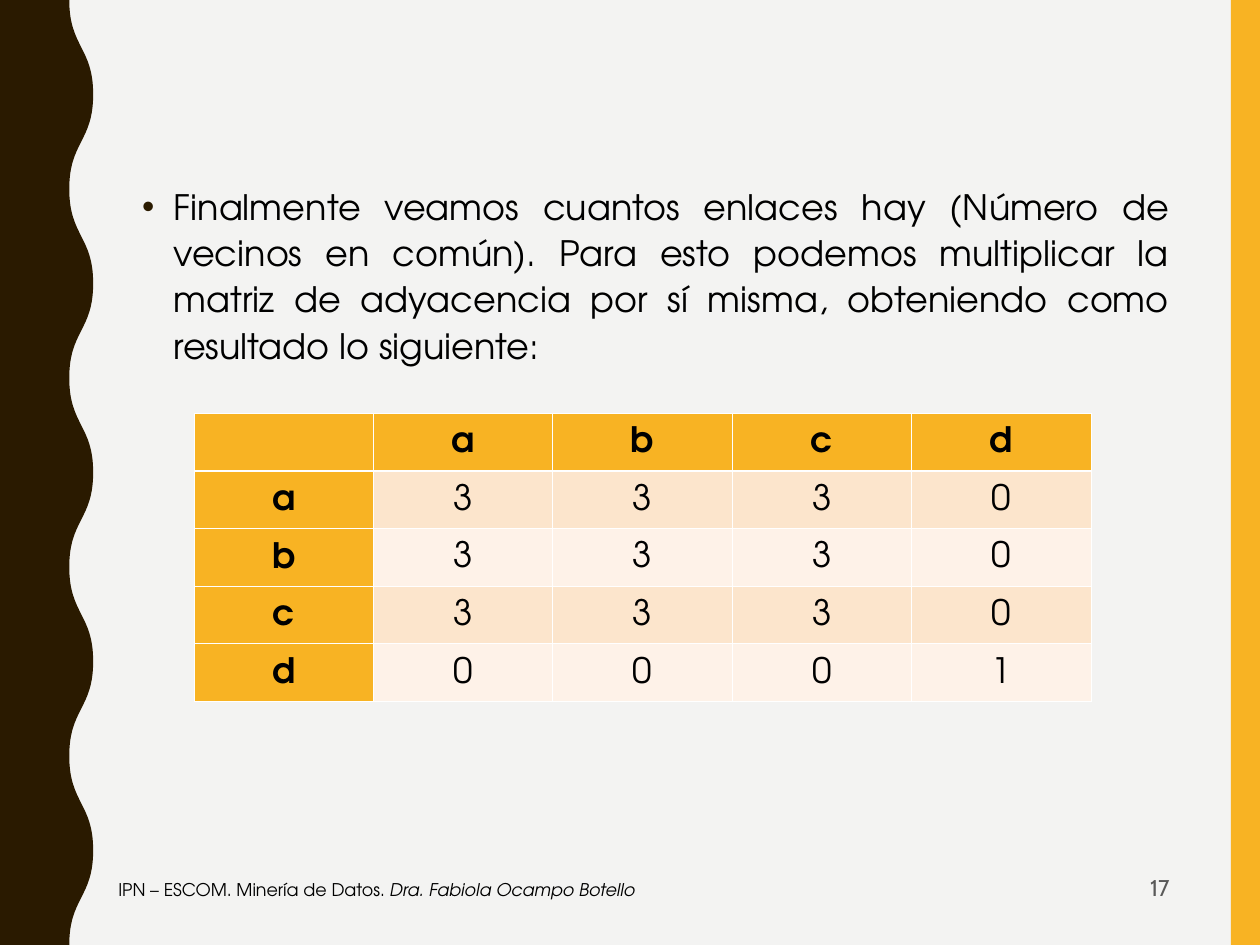
from dataclasses import dataclass

from lxml.etree import SubElement
from pptx import Presentation
from pptx.dml.color import RGBColor
from pptx.enum.shapes import MSO_SHAPE
from pptx.enum.text import MSO_ANCHOR, PP_ALIGN
from pptx.oxml.ns import qn
from pptx.util import Inches, Pt

FONT = "TeX Gyre Adventor"
GOLD, BROWN, WHITE, BLACK = "F8B323", "2A1A00", "FFFFFF", "000000"
BANDS = ("FCE5CC", "FEF2E8")


@dataclass
class Run:
    text: str
    size: float
    font: str = FONT
    color: str = BLACK
    bold: bool = False
    italic: bool = False


@dataclass
class Box:
    left: float
    top: float
    width: float
    height: float
    runs: list[Run]
    align: PP_ALIGN = PP_ALIGN.LEFT
    anchor: MSO_ANCHOR = MSO_ANCHOR.MIDDLE
    spacing: float = 1.0


def rgb(color: str) -> RGBColor:
    return RGBColor.from_string(color)


def paint(sp, color: str) -> None:
    sp.shadow.inherit = False
    sp.fill.solid()
    sp.fill.fore_color.rgb = rgb(color)
    sp.line.fill.background()


def add_run(p, run: Run) -> None:
    r = p.add_run()
    r.text = run.text
    r.font.name = run.font
    r.font.size = Pt(run.size)
    r.font.bold = run.bold
    r.font.italic = run.italic
    r.font.color.rgb = rgb(run.color)


def add_text(s, box: Box):
    sp = s.shapes.add_textbox(Inches(box.left), Inches(box.top),
                              Inches(box.width), Inches(box.height))
    tf = sp.text_frame
    tf.word_wrap = True
    tf.vertical_anchor = box.anchor
    p = tf.paragraphs[0]
    p.alignment = box.align
    p.line_spacing = box.spacing
    for run in box.runs:
        add_run(p, run)
    return p


def add_bullet(p, indent: float, color: str) -> None:
    pPr = p._p.get_or_add_pPr()
    pPr.set("marL", str(Inches(indent)))
    pPr.set("indent", str(-Inches(indent)))
    clr = SubElement(pPr, qn("a:buClr"))
    SubElement(clr, qn("a:srgbClr"), val=color)
    SubElement(pPr, qn("a:buFont"), typeface="Arial")
    SubElement(pPr, qn("a:buChar"), char="•")


def add_wave(s, inner: float, outer: float, half: float, count: int) -> None:
    """Side band whose right edge swings between inner and outer."""
    edge = [(Inches(outer if i % 2 else inner), Inches(half * i))
            for i in range(count + 1)]
    fb = s.shapes.build_freeform(*edge[0])
    fb.add_line_segments(edge[1:] + [(0, edge[-1][1]), (0, 0)], close=True)
    sp = fb.convert_to_shape()
    paint(sp, BROWN)

    # Turn the straight edge pieces into S-curves
    lines = list(sp._element.iter(qn("a:lnTo")))
    for line, (x0, y0), (x1, y1) in zip(lines, edge, edge[1:]):
        middle = (y0 + y1) // 2
        line.tag = qn("a:cubicBezTo")
        line.remove(line[0])
        for x, y in ((x0, middle), (x1, middle), (x1, y1)):
            SubElement(line, qn("a:pt"), x=str(x), y=str(y))


def set_borders(cell, widths: dict[str, float]) -> None:
    tcPr = cell._tc.get_or_add_tcPr()
    for i, (side, width) in enumerate(widths.items()):
        ln = SubElement(tcPr, qn(f"a:ln{side}"), w=str(Pt(width)))
        fill = SubElement(ln, qn("a:solidFill"))
        SubElement(fill, qn("a:srgbClr"), val=WHITE)
        tcPr.insert(i, ln)


def add_matrix(s, rows: list[str], left: float, top: float,
               width: float, row_height: float) -> None:
    n = len(rows)
    table = s.shapes.add_table(n, n, Inches(left), Inches(top), Inches(width),
                               Inches(row_height * n)).table
    for i, row in enumerate(rows):
        table.rows[i].height = Inches(row_height)
        for j, value in enumerate(row):
            header = i == 0 or j == 0
            cell = table.cell(i, j)
            cell.margin_left = cell.margin_right = Inches(0.08)
            cell.vertical_anchor = MSO_ANCHOR.MIDDLE
            cell.fill.solid()
            cell.fill.fore_color.rgb = rgb(GOLD if header else BANDS[(i - 1) % 2])
            set_borders(cell, {"L": 0.45, "R": 0.45,
                               "T": 1.47 if i == 1 else 0.45,
                               "B": 1.47 if i == 0 else 0.45})
            if value.strip():
                p = cell.text_frame.paragraphs[0]
                p.alignment = PP_ALIGN.CENTER
                p.line_spacing = 1.07
                add_run(p, Run(value, 20, bold=header))


def main() -> None:
    prs = Presentation()
    prs.slide_width, prs.slide_height = Inches(10), Inches(7.5)
    s = prs.slides.add_slide(prs.slide_layouts[6])
    s.background.fill.solid()
    s.background.fill.fore_color.rgb = rgb("F3F3F2")

    # Side bands
    sp = s.shapes.add_shape(MSO_SHAPE.RECTANGLE, Inches(9.77), 0,
                            Inches(0.23), Inches(7.5))
    paint(sp, GOLD)
    add_wave(s, inner=0.55, outer=0.74, half=0.75, count=10)

    # Body text
    p = add_text(s, Box(1.03, 1.39, 8.35, 5.04, [Run(
        "Finalmente veamos cuantos enlaces hay (Número de vecinos en común). "
        "Para esto podemos multiplicar la matriz de adyacencia por sí misma, "
        "obteniendo como resultado lo siguiente:", 20)],
        PP_ALIGN.JUSTIFY, MSO_ANCHOR.TOP, 1.1))
    add_bullet(p, 0.25, BROWN)

    # Slide number
    add_text(s, Box(7.07, 6.87, 2.31, 0.38, [Run("17", 13, "Cabin", "595959")],
                    PP_ALIGN.RIGHT, spacing=0.8))

    # Common-neighbour matrix
    add_matrix(s, [" abcd", "a3330", "b3330", "c3330", "d0001"],
               left=1.54, top=3.28, width=7.12, row_height=0.4)

    # Footer
    add_text(s, Box(0.84, 6.81, 5.89, 0.5, [
        Run("IPN – ESCOM. Minería de Datos. ", 10),
        Run("Dra. Fabiola Ocampo Botello", 10, italic=True)]))

    prs.save("out.pptx")


if __name__ == "__main__":
    main()
